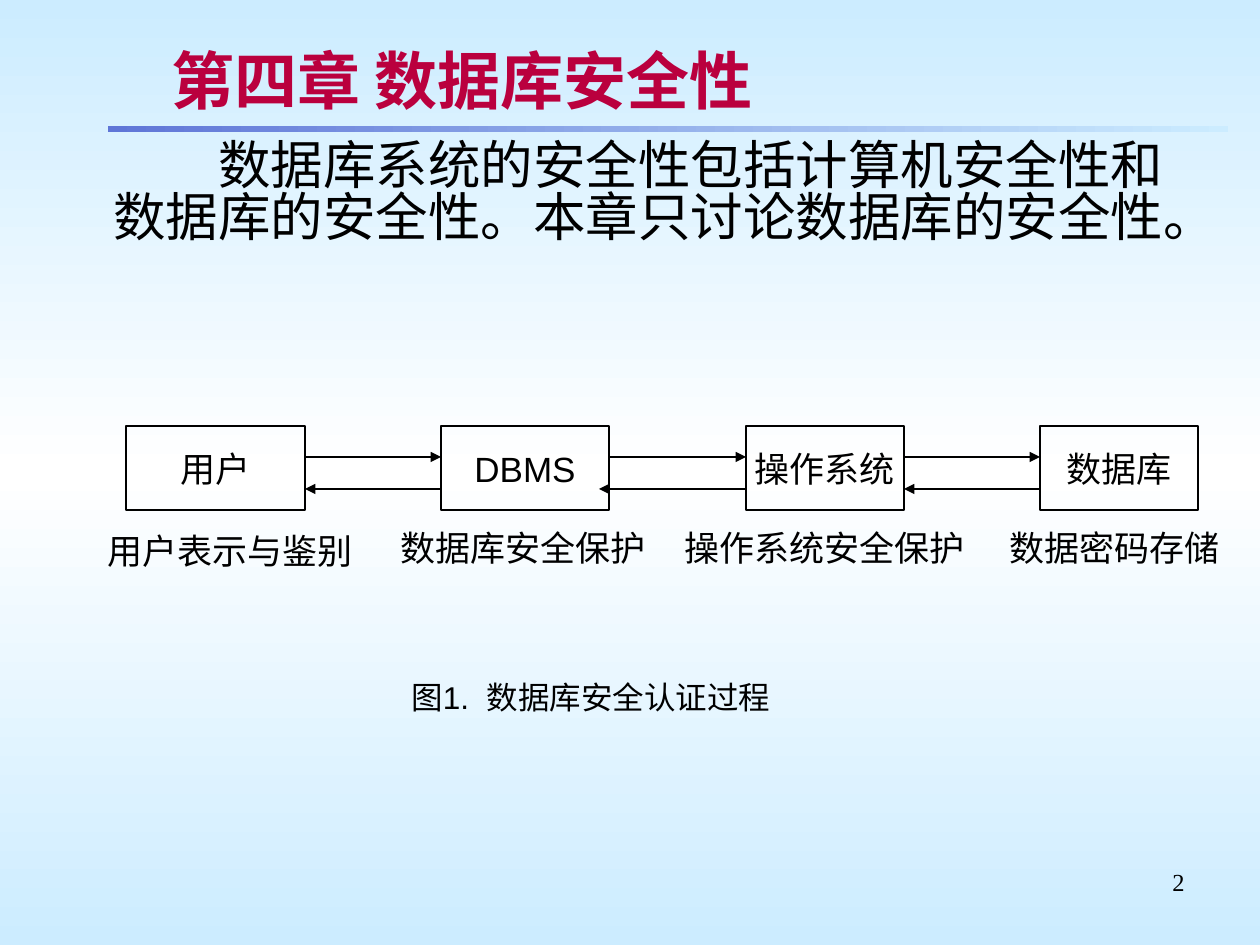
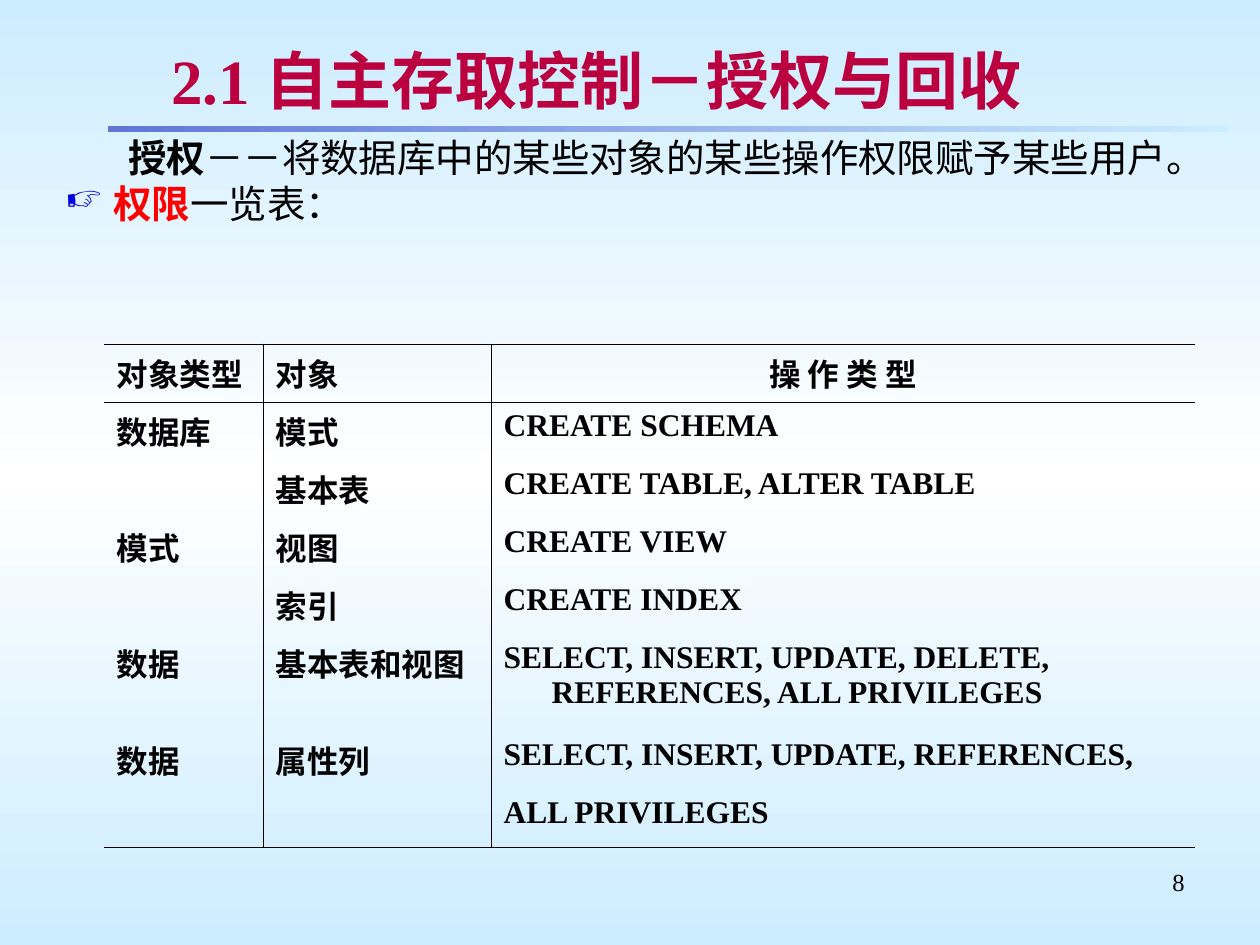
from copy import deepcopy

from lxml.etree import SubElement
from pptx import Presentation
from pptx.dml.color import RGBColor
from pptx.enum.shapes import MSO_CONNECTOR as Connector, MSO_SHAPE as Shape
from pptx.enum.text import MSO_ANCHOR as Anchor, PP_ALIGN as Align
from pptx.oxml.ns import qn
from pptx.util import Emu, Pt

BLACK = RGBColor(0x00, 0x00, 0x00)
WHITE = RGBColor(0xFF, 0xFF, 0xFF)
CRIMSON = RGBColor(0xBA, 0x00, 0x3E)
RED = RGBColor(0xFF, 0x00, 0x00)
BLUE = RGBColor(0x00, 0x00, 0xE8)
SKY = RGBColor(0xCC, 0xEC, 0xFF)
INDIGO = RGBColor(0x5F, 0x76, 0xD7)
SHADOW = RGBColor(0xC0, 0xC0, 0xC0)

SERIF, SANS, CJK = "Times New Roman", "Arial", "Noto Sans CJK SC"
BODY_SPACING = 0.83
HANG = 48

INTRO = "数据库系统的安全性包括计算机安全性和数据库的安全性。本章只讨论数据库的安全性。"
STAGE_TOP, STAGE_HEIGHT = 426, 84
STAGES = [
    ("用户", 126, 179),
    ("DBMS", 441, 168),
    ("操作系统", 746, 158),
    ("数据库", 1040, 158),
]
CAPTIONS = [
    ("用户表示与鉴别", 95, 523, 284),
    ("数据库安全保护", 388, 520, 284),
    ("操作系统安全保护", 672, 520, 347),
    ("数据密码存储", 997, 520, 263),
]
REQUEST_Y, REPLY_Y = 457, 489
ARROWS = [(1, 0), (0.75, 10), (0.75, 0)]
FIGURE_TITLE = "图1.  数据库安全认证过程"

GRANT = [("授权", True, BLACK), ("－－将数据库中的某些对象的某些操作权限赋予某些用户。", False, BLACK)]
LIST_LABEL = [("权限", True, RED), ("一览表：", False, BLACK)]
COLUMN_WIDTHS = [159, 228, 704]
ROW_HEIGHTS = [58, 58, 58, 58, 58, 97, 58, 58]
PRIVILEGES = [
    ("对象类型", "对象", "操 作 类 型"),
    ("数据库", "模式", "CREATE SCHEMA"),
    ("", "基本表", "CREATE TABLE, ALTER TABLE"),
    ("模式", "视图", "CREATE VIEW"),
    ("", "索引", "CREATE INDEX"),
    ("数据", "基本表和视图", "SELECT, INSERT, UPDATE, DELETE, REFERENCES, ALL PRIVILEGES"),
    ("数据", "属性列", "SELECT, INSERT, UPDATE, REFERENCES,"),
    ("", "", "ALL PRIVILEGES"),
]


def px(count):
    return Emu(round(count * 914400 / 126))


def paint_gradient(fill, element, stops, angle):
    fill.gradient()
    fill.gradient_angle = angle
    stop_list = element.find(".//" + qn("a:gsLst"))
    while len(stop_list) < len(stops):
        stop_list.append(deepcopy(stop_list[0]))
    for stop, (position, color) in zip(fill.gradient_stops, stops):
        stop.position = position
        stop.color.rgb = color


def style(span, size, latin=SERIF, color=BLACK, bold=False):
    font = span.font
    font.size, font.bold, font.name = Pt(size), bold, latin
    font.color.rgb = color
    SubElement(span.font._element, qn("a:ea"), typeface=CJK)


def indent(para, margin, first):
    properties = para._p.get_or_add_pPr()
    properties.set("marL", str(px(margin)))
    properties.set("indent", str(px(first)))
    return properties


def write(frame, text, size, latin=SERIF, color=BLACK, bold=False, align=Align.LEFT):
    frame.text = text
    para = frame.paragraphs[0]
    para.alignment = align
    for span in para.runs:
        style(span, size, latin, color, bold)
    return para


def add_spans(para, parts, size):
    para.line_spacing = BODY_SPACING
    for text, bold, color in parts:
        span = para.add_run()
        span.text = text
        style(span, size, color=color, bold=bold)


def add_frame(page, left, top, width, height):
    frame = page.shapes.add_textbox(px(left), px(top), px(width), px(height)).text_frame
    frame.word_wrap = True
    return frame


def add_rectangle(page, left, top, width, height):
    box = page.shapes.add_shape(Shape.RECTANGLE, px(left), px(top), px(width), px(height))
    box.shadow.inherit = False
    return box


def add_text_shadow(span):
    effects = SubElement(span.font._element, qn("a:effectLst"))
    shadow = SubElement(effects, qn("a:outerShdw"), dist="35921", dir="2700000")
    SubElement(shadow, qn("a:srgbClr"), val=str(SHADOW))
    span.font._element.find(qn("a:solidFill")).addnext(effects)


def add_page(deck, title, number):
    page = deck.slides.add_slide(deck.slide_layouts[6])
    paint_gradient(page.background.fill, page.element, [(0, SKY), (0.5, WHITE), (1, SKY)], 270)
    band = add_rectangle(page, 108, 126, 1120, 6)
    band.line.fill.background()
    paint_gradient(band.fill, band.element, [(0, INDIGO), (1, SKY)], 0)
    write(add_frame(page, 903, 861, 294, 66), str(number), 14, align=Align.RIGHT)
    frame = add_frame(page, 159, 37, 1038, 84)
    frame.vertical_anchor = Anchor.MIDDLE
    heading = write(frame, title, 36, color=CRIMSON, bold=True)
    add_text_shadow(heading.runs[0])
    return page


def add_arrow(page, start, end, y, weight):
    arrow = page.shapes.add_connector(Connector.STRAIGHT, px(start), px(y), px(end), px(y))
    arrow.line.color.rgb = BLACK
    arrow.line.width = Pt(weight)
    SubElement(arrow.line._get_or_add_ln(), qn("a:tailEnd"), type="triangle")
    SubElement(arrow.element.spPr, qn("a:effectLst"))


def build_overview(deck):
    page = add_page(deck, "第四章 数据库安全性", 2)
    intro = write(add_frame(page, 53, 136, 1166, 147), INTRO, 30, CJK)
    indent(intro, HANG, 105)
    intro.line_spacing = BODY_SPACING

    for name, left, width in STAGES:
        box = add_rectangle(page, left, STAGE_TOP, width, STAGE_HEIGHT)
        box.fill.background()
        box.line.color.rgb = BLACK
        box.line.width = Pt(0.75)
        box.text_frame.word_wrap = False
        box.text_frame.vertical_anchor = Anchor.MIDDLE
        write(box.text_frame, name, 20, SANS, align=Align.CENTER)
    for caption, left, top, width in CAPTIONS:
        write(add_frame(page, left, top, width, 55), caption, 20, SANS)

    for source, target, (weight, overlap) in zip(STAGES, STAGES[1:], ARROWS):
        source_edge, target_edge = source[1] + source[2], target[1]
        add_arrow(page, source_edge, target_edge, REQUEST_Y, weight)
        add_arrow(page, target_edge, source_edge - overlap, REPLY_Y, weight)
    write(add_frame(page, 399, 672, 525, 50), FIGURE_TITLE, 18, SANS)


def set_borders(cell, visible):
    properties = cell._tc.get_or_add_tcPr()
    for side in "LRTB":
        line = SubElement(properties, qn("a:ln" + side), w=str(Pt(0.45)))
        if side in visible:
            fill = SubElement(line, qn("a:solidFill"))
            SubElement(fill, qn("a:srgbClr"), val=str(BLACK))
        else:
            SubElement(line, qn("a:noFill"))
    cell.fill.background()


def add_privilege_table(page):
    row_count, column_count = len(ROW_HEIGHTS), len(COLUMN_WIDTHS)
    table = page.shapes.add_table(row_count, column_count, px(104), px(344),
                                  px(sum(COLUMN_WIDTHS)), px(sum(ROW_HEIGHTS))).table
    table.first_row = table.horz_banding = False
    for column, width in zip(table.columns, COLUMN_WIDTHS):
        column.width = px(width)
    for row, height in zip(table.rows, ROW_HEIGHTS):
        row.height = px(height)
    for r, texts in enumerate(PRIVILEGES):
        for c, text in enumerate(texts):
            cell = table.cell(r, c)
            edges = {"L": c > 0, "R": c < column_count - 1,
                     "T": r < 2, "B": r in (0, row_count - 1)}
            set_borders(cell, [side for side, shown in edges.items() if shown])
            if text:
                centred = r == 0 and c == column_count - 1
                para = write(cell.text_frame, text, 18, bold=True,
                             align=Align.CENTER if centred else Align.LEFT)
                indent(para, HANG, -HANG)


def build_privileges(deck):
    page = add_page(deck, "2.1 自主存取控制－授权与回收", 8)
    frame = add_frame(page, 53, 136, 1166, 756)
    grant = frame.paragraphs[0]
    indent(grant, 102, -39)
    add_spans(grant, GRANT, 22)
    label = frame.add_paragraph()
    properties = indent(label, HANG, -HANG)
    bullet_color = SubElement(properties, qn("a:buClr"))
    SubElement(bullet_color, qn("a:srgbClr"), val=str(BLUE))
    SubElement(properties, qn("a:buSzPct"), val="95000")
    SubElement(properties, qn("a:buChar"), char="☞")
    label.space_before = Pt(4.1)
    add_spans(label, LIST_LABEL, 22)
    add_privilege_table(page)


def main():
    deck = Presentation()
    deck.slide_width, deck.slide_height = px(1260), px(945)
    build_overview(deck)
    build_privileges(deck)
    deck.save("out.pptx")


if __name__ == "__main__":
    main()
